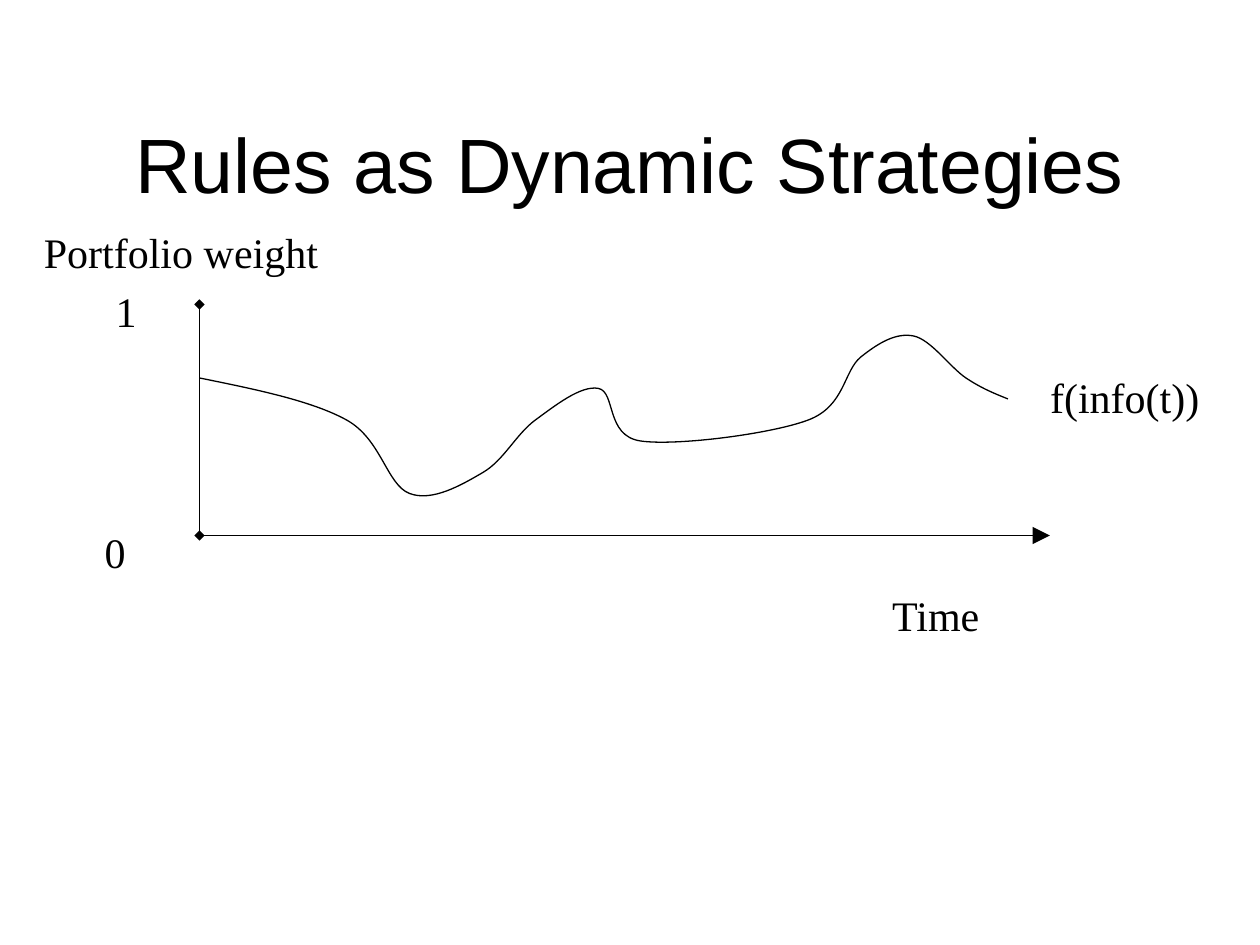
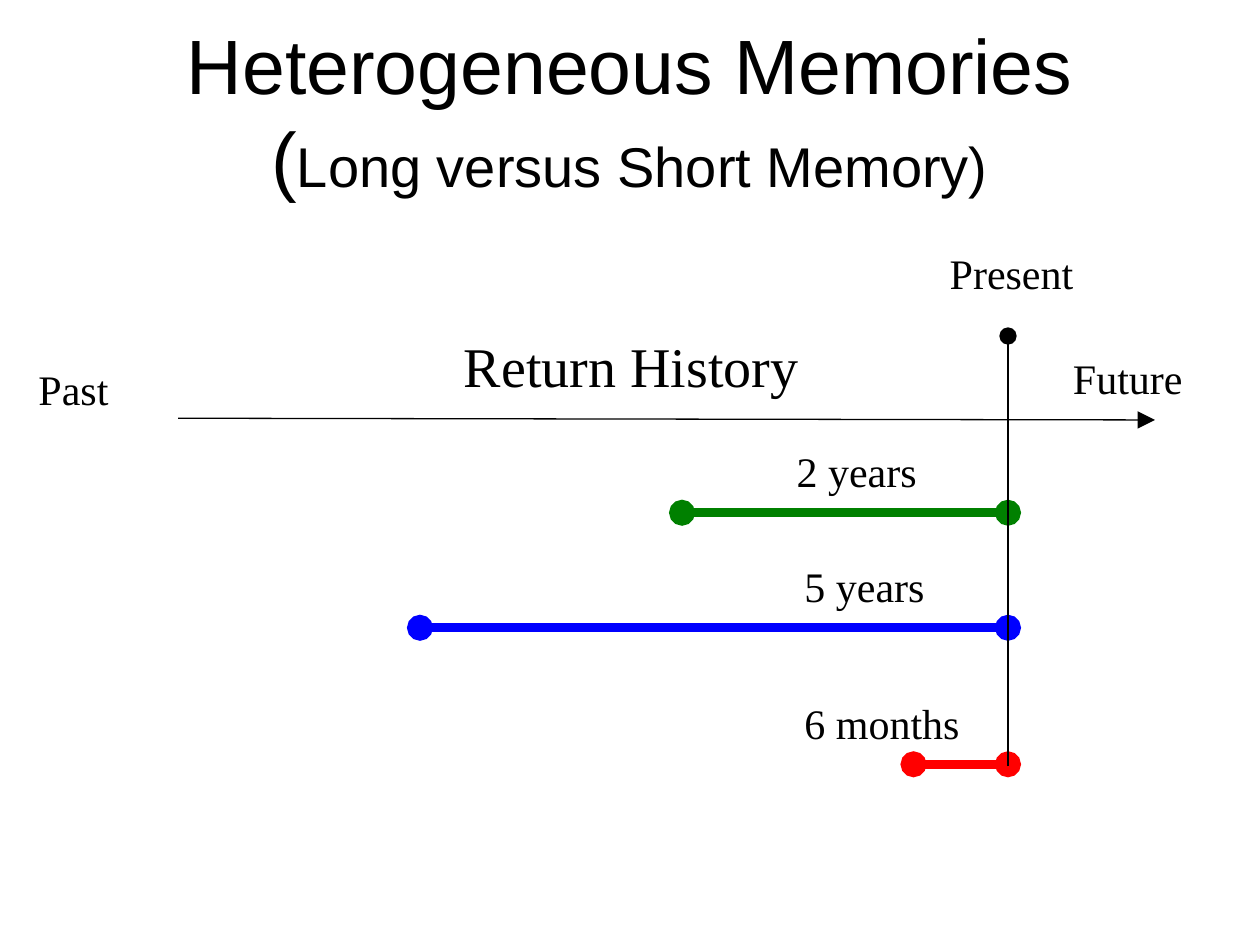
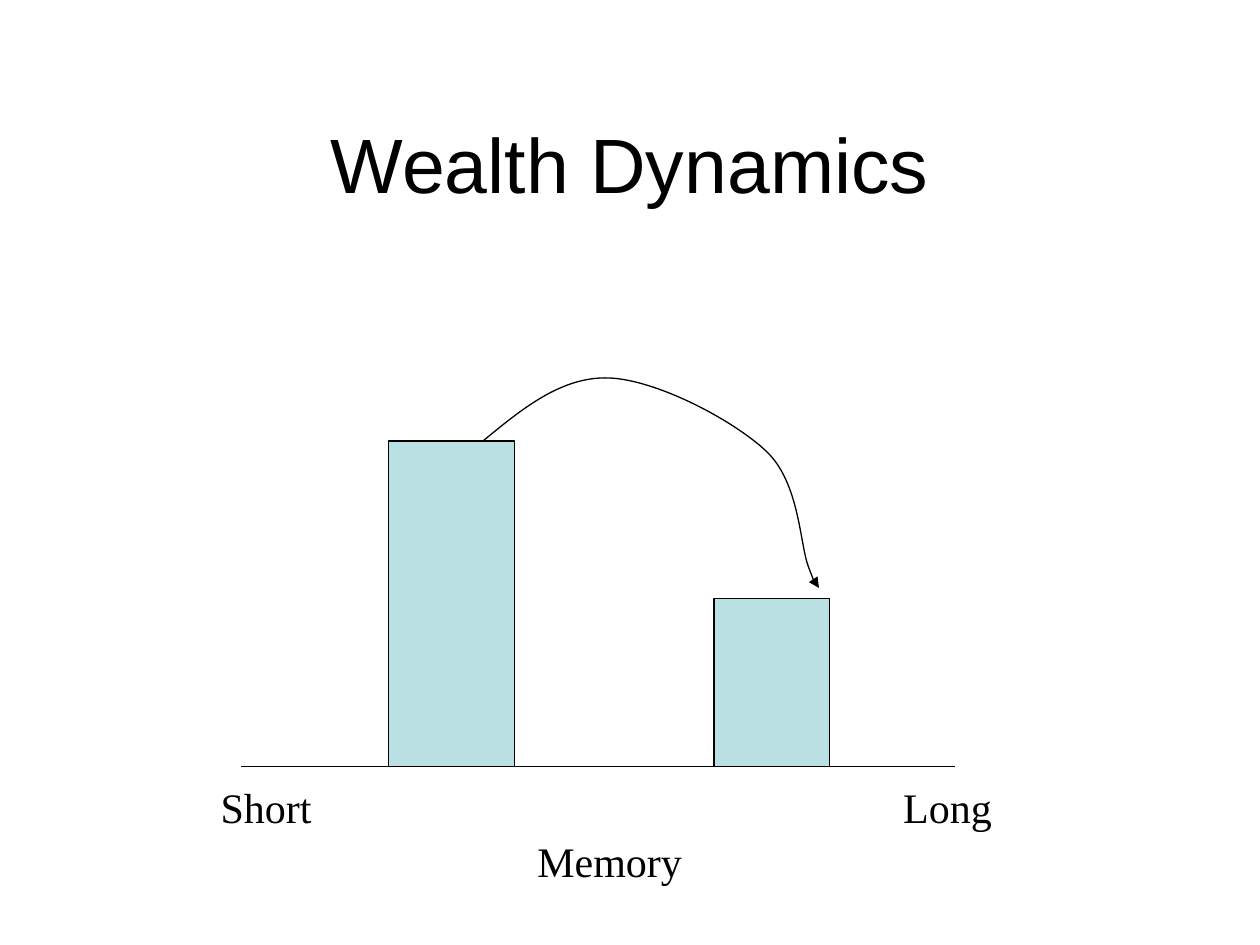
from dataclasses import dataclass

from pptx import Presentation
from pptx.dml.color import RGBColor
from pptx.enum.shapes import MSO_CONNECTOR, MSO_SHAPE
from pptx.enum.text import MSO_ANCHOR, MSO_AUTO_SIZE, PP_ALIGN
from pptx.oxml.ns import qn
from pptx.oxml.xmlchemy import OxmlElement
from pptx.slide import Slide
from pptx.text.text import TextFrame
from pptx.util import Pt

STRAIGHT = MSO_CONNECTOR.STRAIGHT
RECTANGLE = MSO_SHAPE.RECTANGLE
MIDDLE, TOP = MSO_ANCHOR.MIDDLE, MSO_ANCHOR.TOP
CENTER, LEFT = PP_ALIGN.CENTER, PP_ALIGN.LEFT
FIT_SHAPE, NO_FIT = MSO_AUTO_SIZE.SHAPE_TO_FIT_TEXT, MSO_AUTO_SIZE.NONE
TITLE_ONLY = 5

Point = tuple[float, float]


@dataclass(frozen=True)
class Theme:
    ink: RGBColor = RGBColor(0, 0, 0)
    bar: RGBColor = RGBColor(0xBB, 0xE0, 0xE3)
    green: RGBColor = RGBColor(0, 0x80, 0)
    blue: RGBColor = RGBColor(0, 0, 0xFF)
    red: RGBColor = RGBColor(0xFF, 0, 0)
    title_font: str = "Arial"
    label_font: str = "Times New Roman"
    title_size: float = 44
    large_size: float = 32
    label_size: float = 24
    thin: float = 0.75
    thick: float = 5


THEME = Theme()


@dataclass(frozen=True)
class Label:
    text: str
    left: float
    top: float
    width: float
    height: float = 36
    size: float = THEME.label_size


@dataclass(frozen=True)
class Line:
    start: Point
    end: Point
    head: str = "none"
    tail: str = "none"
    end_size: str = "med"
    color: RGBColor = THEME.ink
    width: float = THEME.thin


@dataclass(frozen=True)
class MemorySpan:
    label: Label
    start: float
    height: float
    color: RGBColor


@dataclass(frozen=True)
class Bar:
    left: float
    top: float
    width: float


# Shared drawing functions

def set_margins(frame: TextFrame) -> None:
    frame.margin_left = frame.margin_right = Pt(7.2)
    frame.margin_top = frame.margin_bottom = Pt(3.6)


def add_run(paragraph, text: str, font: str, size: float) -> None:
    run = paragraph.add_run()
    run.text = text
    run.font.name = font
    run.font.size = Pt(size)
    run.font.color.rgb = THEME.ink


def add_titled_slide(presentation, title: str, top: float = 48) -> Slide:
    slide = presentation.slides.add_slide(presentation.slide_layouts[TITLE_ONLY])
    shape = slide.shapes.title
    shape.left, shape.top, shape.width, shape.height = Pt(54), Pt(top), Pt(612), Pt(90)
    frame = shape.text_frame
    set_margins(frame)
    frame.word_wrap = True
    frame.auto_size = NO_FIT
    frame.vertical_anchor = MIDDLE
    frame.paragraphs[0].alignment = CENTER
    add_run(frame.paragraphs[0], title, THEME.title_font, THEME.title_size)
    return slide


def add_label(slide: Slide, label: Label, centered: bool = False) -> None:
    box = slide.shapes.add_textbox(
        Pt(label.left), Pt(label.top), Pt(label.width), Pt(label.height))
    frame = box.text_frame
    set_margins(frame)
    frame.word_wrap = False
    frame.auto_size = FIT_SHAPE
    frame.vertical_anchor = MIDDLE if centered else TOP
    frame.paragraphs[0].alignment = CENTER if centered else LEFT
    add_run(frame.paragraphs[0], label.text, THEME.label_font, label.size)


def style_line(shape, color: RGBColor, width: float, head: str = "none",
               tail: str = "none", end_size: str = "med") -> None:
    shape.line.color.rgb = color
    shape.line.width = Pt(width)
    outline = shape.line._get_or_add_ln()
    for tag, kind in (("a:headEnd", head), ("a:tailEnd", tail)):
        if kind != "none":
            line_end = OxmlElement(tag)
            line_end.set("type", kind)
            line_end.set("w", end_size)
            line_end.set("len", end_size)
            outline.append(line_end)


def add_line(slide: Slide, line: Line) -> None:
    connector = slide.shapes.add_connector(
        STRAIGHT, *(Pt(value) for value in line.start + line.end))
    style_line(connector, line.color, line.width, line.head, line.tail, line.end_size)
    connector.element.spPr.append(OxmlElement("a:effectLst"))


def midpoint(first: Point, second: Point) -> Point:
    return (first[0] + second[0]) / 2, (first[1] + second[1]) / 2


def curve_points(knots: list[Point]) -> list[Point]:
    """Two control points and an end point for each piece of a smooth curve."""
    before, after = {}, {}
    for index in range(1, len(knots) - 1):
        (left, top), (x, y), (right, bottom) = knots[index - 1:index + 2]
        slope_x, slope_y = (right - left) / 6, (bottom - top) / 6
        before[index] = (x - slope_x, y - slope_y)
        after[index] = (x + slope_x, y + slope_y)
    last = len(knots) - 1
    after[0] = midpoint(knots[0], before[1])
    before[last] = midpoint(after[last - 1], knots[last])
    return [point for index in range(last)
            for point in (after[index], before[index + 1], knots[index + 1])]


def add_curve(slide: Slide, knots: list[Point], tail: str = "none") -> None:
    builder = slide.shapes.build_freeform(Pt(knots[0][0]), Pt(knots[0][1]))
    builder.add_line_segments(
        [(Pt(x), Pt(y)) for x, y in curve_points(knots)], close=False)
    curve = builder.convert_to_shape()
    # Each three straight segments become one Bézier segment
    segments = list(curve.element.iter(qn("a:lnTo")))
    for index in range(0, len(segments), 3):
        bezier = OxmlElement("a:cubicBezTo")
        segments[index].addprevious(bezier)
        for segment in segments[index:index + 3]:
            bezier.append(segment[0])
            segment.getparent().remove(segment)
    curve.fill.background()
    curve.shadow.inherit = False
    style_line(curve, THEME.ink, THEME.thin, tail=tail)


def add_bar(slide: Slide, bar: Bar, base: float) -> None:
    shape = slide.shapes.add_shape(
        RECTANGLE, Pt(bar.left), Pt(bar.top), Pt(bar.width), Pt(base - bar.top))
    shape.fill.solid()
    shape.fill.fore_color.rgb = THEME.bar
    shape.shadow.inherit = False
    style_line(shape, THEME.ink, THEME.thin)


# Slides

def add_strategies_slide(presentation) -> None:
    slide = add_titled_slide(presentation, "Rules as Dynamic Strategies")
    origin = (114, 306)
    add_line(slide, Line(origin, (600, 306), tail="triangle", end_size="lg"))
    add_line(slide, Line(origin, (114, 174), head="diamond", tail="diamond"))
    add_curve(slide, [
        (114, 216), (198, 240), (234, 282), (276, 270), (306, 240), (342, 222),
        (366, 252), (462, 240), (492, 204), (522, 192), (552, 216), (576, 228)])
    for label in (
        Label("Time", 502.75, 333.5, 65),
        Label("0", 52.75, 297.5, 26),
        Label("1", 59, 159.5, 26),
        Label("Portfolio weight", 18, 126, 171),
        Label(" f(info(t))", 587, 209, 106),
    ):
        add_label(slide, label)


def add_memories_slide(presentation) -> None:
    slide = add_titled_slide(presentation, "Heterogeneous Memories", top=18)
    subtitle = slide.shapes.title.text_frame.paragraphs[0]
    subtitle.add_line_break()
    add_run(subtitle, "(", THEME.title_font, THEME.title_size)
    add_run(subtitle, "Long versus Short Memory)", THEME.title_font, THEME.large_size)

    # Time axis
    present = 576
    add_line(slide, Line((101.75, 239), (660, 240), tail="triangle", end_size="lg"))
    add_label(slide, Label("Return History", 257.5, 185.5, 206.5, 46, THEME.large_size), True)

    # Memory lengths, each ending at the present
    for span in (
        MemorySpan(Label("2 years", 448, 250.75, 83), 389.75, 293, THEME.green),
        MemorySpan(Label("5 years", 452.5, 316.5, 83), 240, 358.75, THEME.blue),
        MemorySpan(Label("6 months", 452.5, 394.75, 103), 522, 436.75, THEME.red),
    ):
        add_line(slide, Line((span.start, span.height), (present, span.height),
                             "oval", "oval", color=span.color, width=THEME.thick))
        add_label(slide, span.label, centered=True)

    add_line(slide, Line((present, 438), (present, 192), tail="oval", end_size="lg"))
    for label in (
        Label("Past", 14, 204, 56),
        Label("Future", 606, 198, 77),
        Label("Present", 535.5, 138, 85),
    ):
        add_label(slide, label, centered=True)


def add_wealth_slide(presentation) -> None:
    slide = add_titled_slide(presentation, "Wealth Dynamics")
    base = 438
    add_line(slide, Line((138, base), (546, base)))
    for label in (
        Label("Memory", 300, 474, 97),
        Label("Short", 119, 443, 68),
        Label("Long", 509, 443, 65),
    ):
        add_label(slide, label)
    for bar in (Bar(222, 252, 72), Bar(408, 342, 66)):
        add_bar(slide, bar, base)
    add_curve(slide, [(276, 252), (348, 216), (438, 258), (462, 324), (468, 336)],
              tail="triangle")


def main() -> None:
    presentation = Presentation()
    presentation.slide_width, presentation.slide_height = Pt(720), Pt(540)
    add_strategies_slide(presentation)
    add_memories_slide(presentation)
    add_wealth_slide(presentation)
    presentation.save("out.pptx")


if __name__ == "__main__":
    main()
